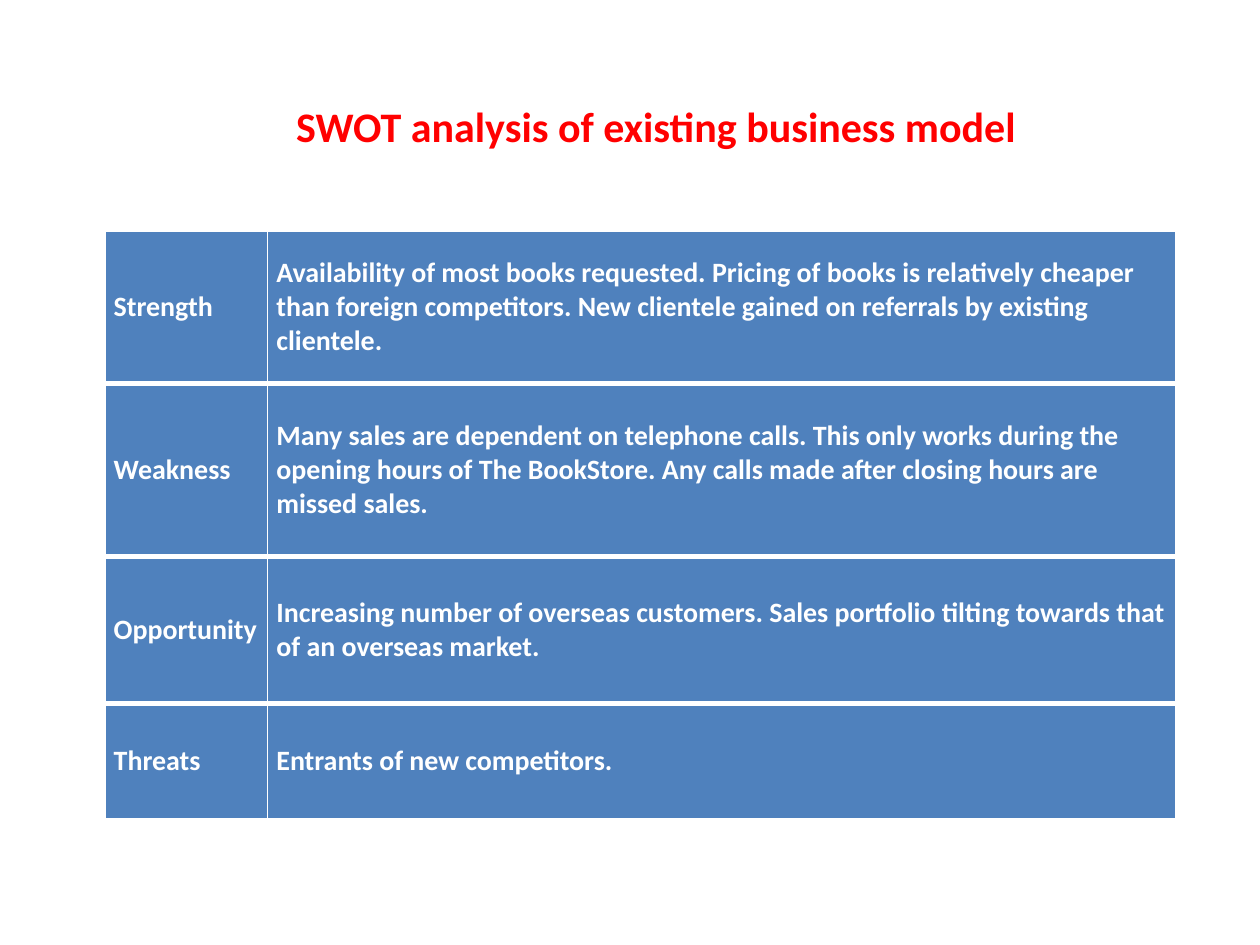
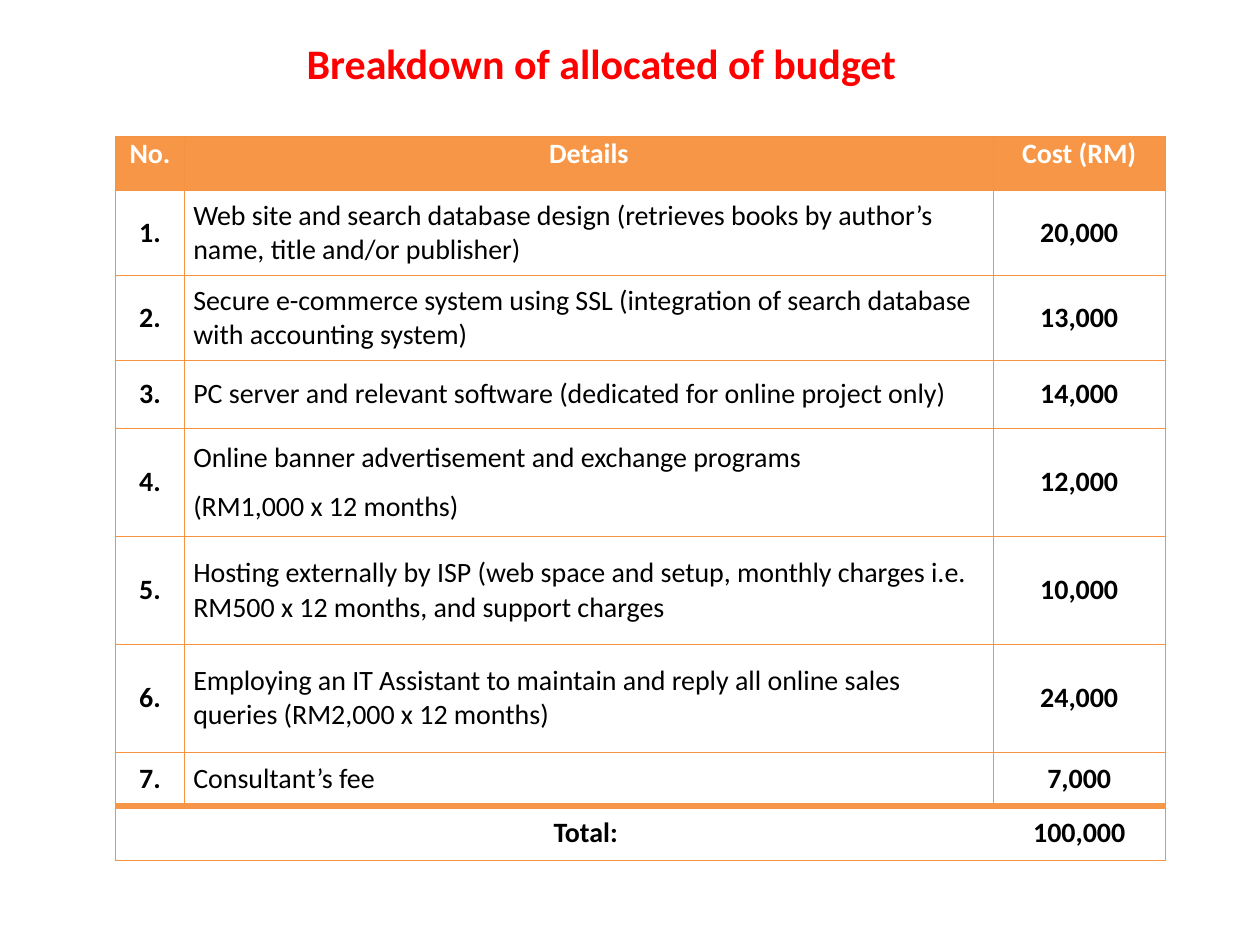
from dataclasses import dataclass

from lxml import etree
from pptx import Presentation
from pptx.dml.color import RGBColor
from pptx.enum.text import MSO_ANCHOR, MSO_AUTO_SIZE, PP_ALIGN
from pptx.oxml.ns import qn
from pptx.util import Pt

LEFT, CENTER = PP_ALIGN.LEFT, PP_ALIGN.CENTER
TOP, MIDDLE = MSO_ANCHOR.TOP, MSO_ANCHOR.MIDDLE
GROW = MSO_AUTO_SIZE.SHAPE_TO_FIT_TEXT
TITLE_ONLY = 5

# Content
SWOT_TITLE = "SWOT analysis of existing business model"
SWOT = [
    ("Strength", "Availability of most books requested. Pricing of books is relatively "
     "cheaper than foreign competitors. New clientele gained on referrals by existing "
     "clientele."),
    ("Weakness", "Many sales are dependent on telephone calls. This only works during the "
     "opening hours of The BookStore. Any calls made after closing hours are missed sales."),
    ("Opportunity", "Increasing number of overseas customers. Sales portfolio tilting "
     "towards that of an overseas market."),
    ("Threats", "Entrants of new competitors."),
]

BUDGET_TITLE = "Breakdown of allocated of budget"
BUDGET_HEADER = ("No.", "Details", "Cost (RM)")
BUDGET_ITEMS = [
    ("Web site and search database design (retrieves books by author’s name, title "
     "and/or publisher)", "20,000"),
    ("Secure e-commerce system using SSL (integration of search database with "
     "accounting system)", "13,000"),
    ("PC server and relevant software (dedicated for online project only)", "14,000"),
    ("Online banner advertisement and exchange programs\n(RM1,000 x 12 months)", "12,000"),
    ("Hosting externally by ISP (web space and setup, monthly charges i.e. RM500 x 12 "
     "months, and support charges", "10,000"),
    ("Employing an IT Assistant to maintain and reply all online sales queries "
     "(RM2,000 x 12 months)", "24,000"),
    ("Consultant’s fee", "7,000"),
]
BUDGET_TOTAL = ("", "Total: ", "100,000")


@dataclass(frozen=True)
class Theme:
    font: str = "Calibri"
    title_size: int = 24
    body_size: int = 16
    title: str = "FF0000"
    blue: str = "4F81BD"
    orange: str = "F79646"
    grid: str = "F69240"
    white: str = "FFFFFF"
    black: str = "000000"


THEME = Theme()


# Shared building blocks
def add_span(para, text, size, color, bold):
    span = para.add_run()
    span.text = text
    span.font.name = THEME.font
    span.font.size = Pt(size)
    span.font.bold = bold
    span.font.color.rgb = RGBColor.from_string(color)


def add_page(deck, title, left, top, width):
    page = deck.slides.add_slide(deck.slide_layouts[TITLE_ONLY])
    box = page.shapes.title
    box.left, box.top, box.width, box.height = Pt(left), Pt(top), Pt(width), Pt(36)
    frame = box.text_frame
    frame.word_wrap = False
    frame.auto_size = GROW
    frame.vertical_anchor = TOP
    para = frame.paragraphs[0]
    para.alignment = LEFT
    add_span(para, title, THEME.title_size, THEME.title, True)
    return page


def add_grid(page, left, top, widths, heights):
    frame = page.shapes.add_table(len(heights), len(widths), Pt(left), Pt(top),
                                  Pt(sum(widths)), Pt(sum(heights)))
    table = frame.table
    table.first_row = table.horz_banding = False
    for column, width in zip(table.columns, widths):
        column.width = Pt(width)
    for row, height in zip(table.rows, heights):
        row.height = Pt(height)
    return table


def set_borders(cell, borders):
    """Draw the sides L, R, T, B as (color, points), or hide a side with None."""
    properties = cell._tc.get_or_add_tcPr()
    for side in "LRTB":
        line = etree.SubElement(properties, qn(f"a:ln{side}"))
        if borders[side] is None:
            etree.SubElement(line, qn("a:noFill"))
            continue
        color, points = borders[side]
        line.set("w", str(int(Pt(points))))
        fill = etree.SubElement(line, qn("a:solidFill"))
        etree.SubElement(fill, qn("a:srgbClr"), val=color)


def fill_cell(cell, text, fill, color, borders, bold=True, align=LEFT, anchor=MIDDLE):
    set_borders(cell, borders)
    cell.fill.solid()
    cell.fill.fore_color.rgb = RGBColor.from_string(fill)
    cell.margin_left = cell.margin_right = Pt(5)
    cell.margin_top = cell.margin_bottom = Pt(0)
    cell.vertical_anchor = anchor
    frame = cell.text_frame
    for index, line in enumerate(text.split("\n") if text else []):
        para = frame.add_paragraph() if index else frame.paragraphs[0]
        para.alignment = align
        para.space_before = para.space_after = Pt(4)
        add_span(para, line, THEME.body_size, color, bold)


# Slide 1: SWOT table
def build_swot(deck):
    page = add_page(deck, SWOT_TITLE, 162, 54, 430.5)
    table = add_grid(page, 60, 132, (93, 519), (87, 99, 84, 66))
    thin, thick = (THEME.white, 1), (THEME.white, 3)
    last = len(SWOT) - 1
    for row, texts in enumerate(SWOT):
        borders = {"L": thin, "R": thin, "T": thick if row else thin,
                   "B": thick if row < last else thin}
        for column, text in enumerate(texts):
            fill_cell(table.cell(row, column), text, THEME.blue, THEME.white, borders)


# Slide 2: budget table
def build_budget(deck):
    page = add_page(deck, BUDGET_TITLE, 168, 18, 355)
    short, double, single, tall = 30.86, 48.57, 38.86, 61.71
    heights = (short, double, double, single, tall, tall, tall, short, short)
    table = add_grid(page, 66, 78, (39.5, 462, 98.5), heights)
    items = [(f"{number}.", *item) for number, item in enumerate(BUDGET_ITEMS, 1)]
    rows = [BUDGET_HEADER, *items, BUDGET_TOTAL]
    total = len(rows) - 1
    thin, thick = (THEME.grid, 0.75), (THEME.orange, 4)
    for row, texts in enumerate(rows):
        header = row == 0
        for column, text in enumerate(texts):
            detail = column == 1 and 0 < row < total
            borders = {
                "L": None if row == total and column > 0 else thin,
                "R": None if row == total and column < 2 else thin,
                "T": thick if row == total else thin,
                "B": thick if row == total - 1 else thin,
            }
            fill_cell(table.cell(row, column), text,
                      THEME.orange if header else THEME.white,
                      THEME.white if header else THEME.black, borders,
                      bold=not detail, align=LEFT if detail else CENTER,
                      anchor=TOP if header else MIDDLE)


def main():
    deck = Presentation()
    deck.slide_width, deck.slide_height = Pt(720), Pt(540)
    build_swot(deck)
    build_budget(deck)
    deck.save("out.pptx")


if __name__ == "__main__":
    main()
